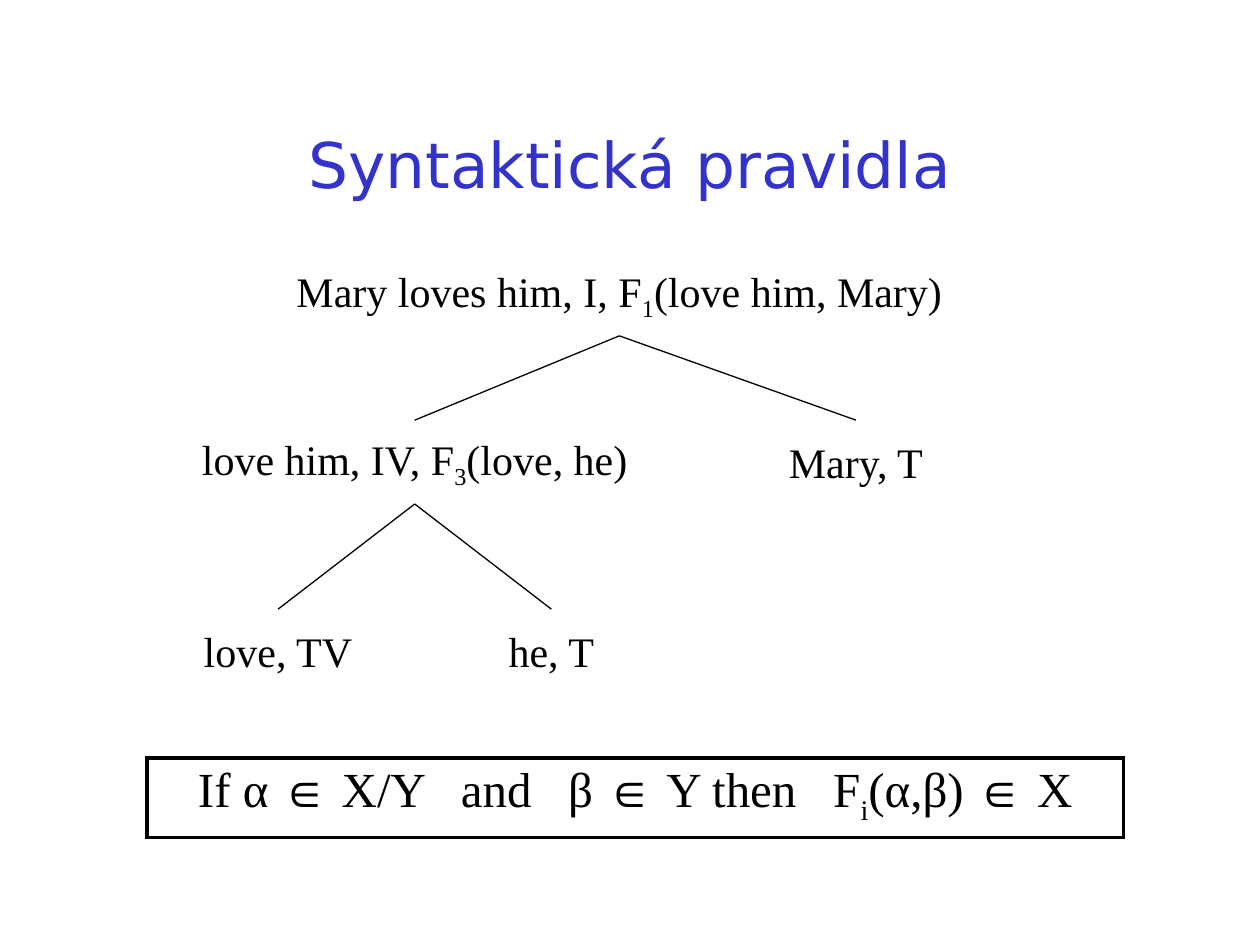
import pptx
import pptx.util
import pptx.dml.color
import pptx.enum.shapes
import pptx.enum.text
import pptx.oxml
import pptx.oxml.ns

Cm, Pt = pptx.util.Cm, pptx.util.Pt
BLACK = pptx.dml.color.RGBColor(0x00, 0x00, 0x00)
BLUE = pptx.dml.color.RGBColor(0x33, 0x33, 0xCC)
SERIF = "Times New Roman"
NS = pptx.oxml.ns.nsdecls("a")


def write(tf, parts, size, font=SERIF, color=BLACK):
    """Write one centred paragraph; every second part is a subscript."""
    p = tf.paragraphs[0]
    p.alignment = pptx.enum.text.PP_ALIGN.CENTER
    for i, text in enumerate(parts):
        r = p.add_run()
        r.text = text
        for name, value in {"name": font, "size": Pt(size)}.items():
            setattr(r.font, name, value)
        r.font.color.rgb = color
        if i % 2:
            r._r.get_or_add_rPr().set("baseline", "-25000")
    return p


def add_text(left, top, width, height, wrap, *args):
    sp = s.shapes.add_textbox(Cm(left), Cm(top), Cm(width), Cm(height))
    fmt = {"word_wrap": wrap,
           "vertical_anchor": pptx.enum.text.MSO_ANCHOR.MIDDLE}
    for name, value in fmt.items():
        setattr(sp.text_frame, name, value)
    write(sp.text_frame, *args)
    return sp


prs = pptx.Presentation()
prs.slide_width, prs.slide_height = Cm(25.4), Cm(19.05)
s = prs.slides.add_slide(prs.slide_layouts[6])

# Title
add_text(1.9, 1.7, 21.6, 3.18, True,
         ["Syntaktická pravidla"], 36, "DejaVu Sans", BLUE)

# Rule in a framed one-cell table
gf = s.shapes.add_table(1, 1, Cm(2.96), Cm(15.28), Cm(19.69), Cm(1.45))
tbl = gf.table
tbl.first_row = tbl.horz_banding = False
cell = tbl.cell(0, 0)
cell.fill.background()
p = write(cell.text_frame,
          ["If α ∈ X/Y   and   β ∈ Y then   F", "i", "(α,β) ∈ X"], 28)
p.space_before = Pt(5.6)
tcPr = cell._tc.get_or_add_tcPr()
for i, side in enumerate("LRTB"):
    tcPr.insert(i, pptx.oxml.parse_xml(
        f'<a:ln{side} {NS} w="{Pt(2.25)}"><a:solidFill>'
        f'<a:srgbClr val="{BLACK}"/></a:solidFill></a:ln{side}>'))

# Tree nodes: left, level, width, text parts
LEVEL_TOPS = [5.08, 8.47, 12.28]
NODES = {
    "sentence": (5.5, 0, 13.97,
                 ["Mary loves him, I, F", "1", "(love him, Mary)"]),
    "phrase": (2.96, 1, 10.8, ["love him, IV, F", "3", "(love, he)"]),
    "subject": (14.61, 1, 5.29, ["Mary, T"]),
    "object": (8.47, 2, 5.29, ["he, T"]),
    "verb": (2.96, 2, 5.29, ["love, TV"]),
}
nodes = {}
for key, (left, level, width, parts) in NODES.items():
    nodes[key] = add_text(left, LEVEL_TOPS[level], width, 1.69, False,
                          parts, 24)

# Branches from parent bottom to child top
for parent, child in [("phrase", "verb"), ("phrase", "object"),
                      ("sentence", "phrase"), ("sentence", "subject")]:
    c = s.shapes.add_connector(
        pptx.enum.shapes.MSO_CONNECTOR.STRAIGHT, 0, 0, 0, 0)
    c.begin_connect(nodes[parent], 2)
    c.end_connect(nodes[child], 0)
    c.line.color.rgb = BLACK
    c.line.width = Pt(0.75)
    c._element.spPr.append(pptx.oxml.parse_xml(f"<a:effectLst {NS}/>"))

prs.save("out.pptx")
